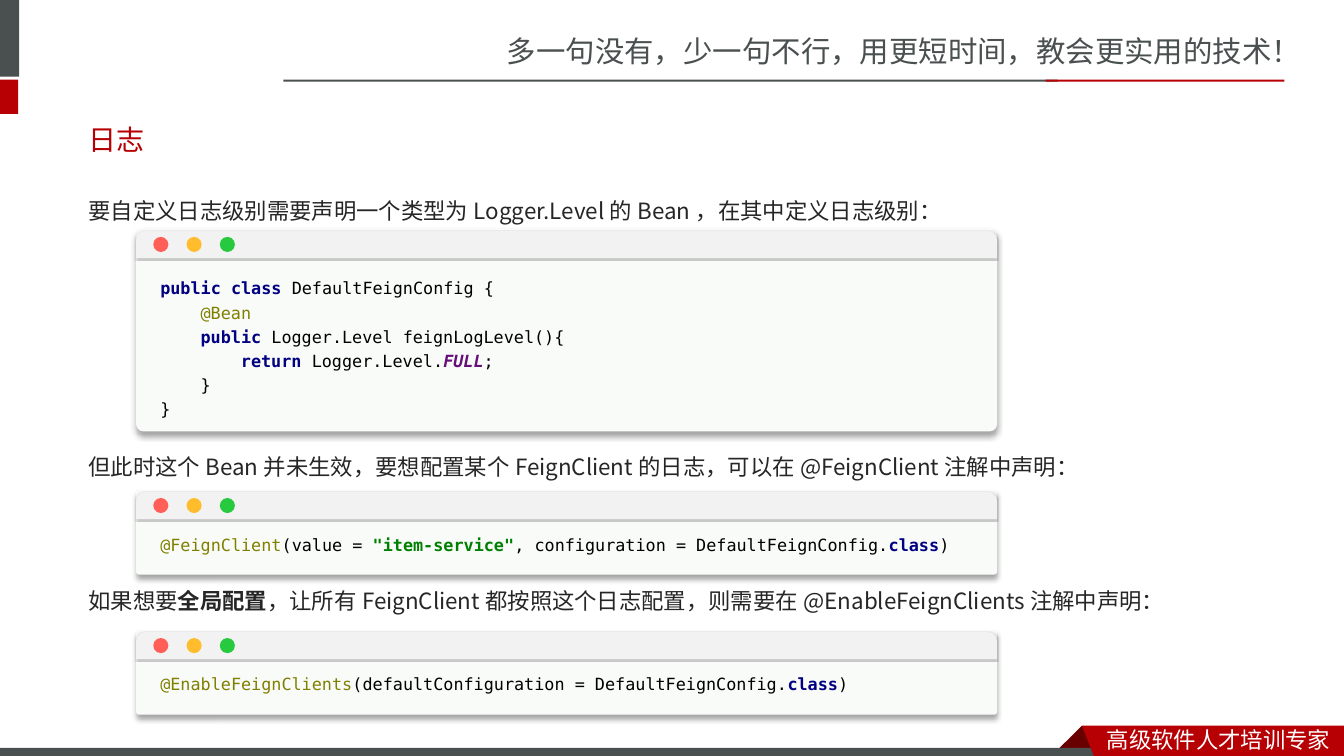
from lxml import etree
from pptx import Presentation
from pptx.dml.color import RGBColor
from pptx.enum.shapes import MSO_SHAPE as SHAPE
from pptx.enum.text import MSO_ANCHOR as ANCHOR, PP_ALIGN as ALIGN
from pptx.oxml import parse_xml
from pptx.oxml.ns import nsdecls, qn
from pptx.util import Pt

PX = 9144
SANS, SANS_JP, MONO, LATO = "Noto Sans CJK SC", "Noto Sans CJK JP", "DejaVu Sans Mono", "Lato"
C = {
    "slate": "49504F", "red": "B60004", "maroon": "680000", "white": "FFFFFF",
    "body": "262626", "pane": "F9FBF9", "bar": "F2F2F2", "black": "000000",
    "close": "FF5F56", "minimize": "FFBD2E", "zoom": "27C93F",
    "keyword": "000080", "annotation": "808000", "string": "008000", "constant": "660E7A",
}
BOLD = {"keyword", "string", "constant"}


def px(*values):
    return [v * PX for v in values]


def paint(sp, color):
    sp.shadow.inherit = False
    sp.fill.solid()
    sp.fill.fore_color.rgb = RGBColor.from_string(C[color])
    sp.line.fill.background()
    return sp


def shape(shapes, kind, box, color):
    return paint(shapes.add_shape(kind, *px(*box)), color)


def polygon(shapes, points, color):
    builder = shapes.build_freeform(*points[0], scale=PX)
    builder.add_line_segments(points[1:], close=True)
    return paint(builder.convert_to_shape(), color)


def cast_shadow(sp, alpha, blur, dist):
    effects = sp._element.spPr.find(qn("a:effectLst"))
    effects.append(parse_xml(
        f'<a:outerShdw {nsdecls("a")} blurRad="{Pt(blur)}" dist="{Pt(dist)}" dir="5400000" '
        f'algn="t" rotWithShape="0"><a:srgbClr val="{C["black"]}">'
        f'<a:alpha val="{alpha * 1000}"/></a:srgbClr></a:outerShdw>'))


def add_run(p, text, size, font, color, bold=False, italic=False, asian=SANS):
    r = p.add_run()
    r.text = text
    r.font.size = Pt(size)
    r.font.name = font
    r.font.bold = bold
    r.font.italic = italic
    r.font.color.rgb = RGBColor.from_string(C[color])
    etree.SubElement(r._r.get_or_add_rPr(), qn("a:ea")).set("typeface", asian)


def text_frame(shapes, box, anchor=ANCHOR.TOP):
    tf = shapes.add_textbox(*px(*box)).text_frame
    tf.word_wrap = True
    tf.vertical_anchor = anchor
    return tf


def header(s, x, y):
    tf = text_frame(s.shapes, (x + 493, y + 28, 840, 47))
    add_run(tf.paragraphs[0], "多一句没有，少一句不行，用更短时间，教会更实用的技术！", 21, SANS, "slate")
    for box, color in (((x, y, 19, 76), "slate"), ((x, y + 79, 18, 34), "red"),
                       ((x + 281, y + 79, 768, 2), "slate"), ((x + 1037, y + 79, 237, 2), "red")):
        shape(s.shapes, SHAPE.RECTANGLE, box, color)


def footer(s, x, y):
    polygon(s.shapes, [(x + 1073, y), (x + 1095, y + 22), (x + 1094, y + 23),
                       (x + 1052, y + 23), (x + 1051, y + 22)], "maroon")
    shape(s.shapes, SHAPE.RECTANGLE, (x, y + 22, 1099, 8), "slate")
    polygon(s.shapes, [(x + 1073, y), (x + 1333, y), (x + 1333, y + 30), (x + 1085, y + 30)], "red")
    tf = text_frame(s.shapes, (x + 1088, y - 5, 245, 37))
    add_run(tf.paragraphs[0], "高级软件人才培训专家", 16, SANS, "white")


def title(s, x, y, w, h):
    sp = s.shapes.title
    sp.left, sp.top, sp.width, sp.height = px(x, y, w, h)
    tf = sp.text_frame
    tf.word_wrap = True
    tf.vertical_anchor = ANCHOR.MIDDLE
    p = tf.paragraphs[0]
    p.alignment = ALIGN.LEFT
    add_run(p, "日志", 20, LATO, "red")


def statement(s, x, y, w, h, runs):
    p = text_frame(s.shapes, (x, y, w, h), ANCHOR.MIDDLE).paragraphs[0]
    for text, bold in runs:
        add_run(p, text, 16, SANS_JP, "body", bold, asian=SANS_JP)


def code_window(s, x, y, w, h, code_top, lines, spacing):
    shapes = s.shapes.add_group_shape().shapes
    pane = shape(shapes, SHAPE.ROUNDED_RECTANGLE, (x, y, w, h), "pane")
    pane.adjustments[0] = 0.036
    cast_shadow(pane, 34, 4, 3)

    tf = text_frame(shapes, (x, y + code_top, w, 10 + 24 * len(lines)))
    tf.margin_left = tf.margin_right = 24 * PX
    for i, (level, runs) in enumerate(lines):
        p = tf.paragraphs[0] if i == 0 else tf.add_paragraph()
        p.line_spacing = spacing
        p._p.get_or_add_pPr().set("marL", str(level * 40 * PX))
        for text, color in runs:
            add_run(p, text, 12, MONO, color, color in BOLD, color == "constant")

    bar = shape(shapes, SHAPE.ROUND_2_SAME_RECTANGLE, (x, y + 2, w, 27), "bar")
    bar.adjustments[0] = 0.35
    cast_shadow(bar, 20, 1, 1)
    for i, color in enumerate(("close", "minimize", "zoom")):
        shape(shapes, SHAPE.OVAL, (x + 17 + 33 * i, y + 8, 15, 15), color)


CONFIG_CLASS = [
    (0, [("public class ", "keyword"), ("DefaultFeignConfig {", "black")]),
    (1, [("@Bean", "annotation")]),
    (1, [("public ", "keyword"), ("Logger.Level feignLogLevel(){", "black")]),
    (2, [("return ", "keyword"), ("Logger.Level.", "black"), ("FULL", "constant"), (";", "black")]),
    (1, [("}", "black")]),
    (0, [("}", "black")]),
]
CLIENT_CONFIG = [
    (0, [("@FeignClient", "annotation"), ("(value = ", "black"), ('"item-service"', "string"),
         (", configuration = DefaultFeignConfig.", "black"), ("class", "keyword"), (")", "black")]),
]
GLOBAL_CONFIG = [
    (0, [("@EnableFeignClients", "annotation"),
         ("(defaultConfiguration = DefaultFeignConfig.", "black"),
         ("class", "keyword"), (")", "black")]),
]
STATEMENTS = [
    (189, [("要自定义日志级别需要声明一个类型为Logger.Level的Bean，在其中定义日志级别：", False)]),
    (443, [("但此时这个Bean并未生效，要想配置某个FeignClient的日志，可以在@FeignClient注解中声明：", False)]),
    (576, [("如果想要", False), ("全局配置", True),
           ("，让所有FeignClient都按照这个日志配置，则需要在@EnableFeignClients注解中声明：", False)]),
]
WINDOWS = [
    (227, 201, 40, CONFIG_CLASS, 1.2),
    (486, 84, 40, CLIENT_CONFIG, 1.0),
    (625, 84, 38, GLOBAL_CONFIG, 1.0),
]


def main():
    prs = Presentation()
    prs.slide_width, prs.slide_height = px(1333, 750)
    s = prs.slides.add_slide(prs.slide_layouts[5])
    header(s, 0, 0)
    footer(s, 0, 720)
    title(s, 78, 108, 653, 61)
    for y, runs in STATEMENTS:
        statement(s, 78, y, 1170, 40, runs)
    for y, h, code_top, lines, spacing in WINDOWS:
        code_window(s, 135, y, 854, h, code_top, lines, spacing)
    prs.save("out.pptx")


if __name__ == "__main__":
    main()
